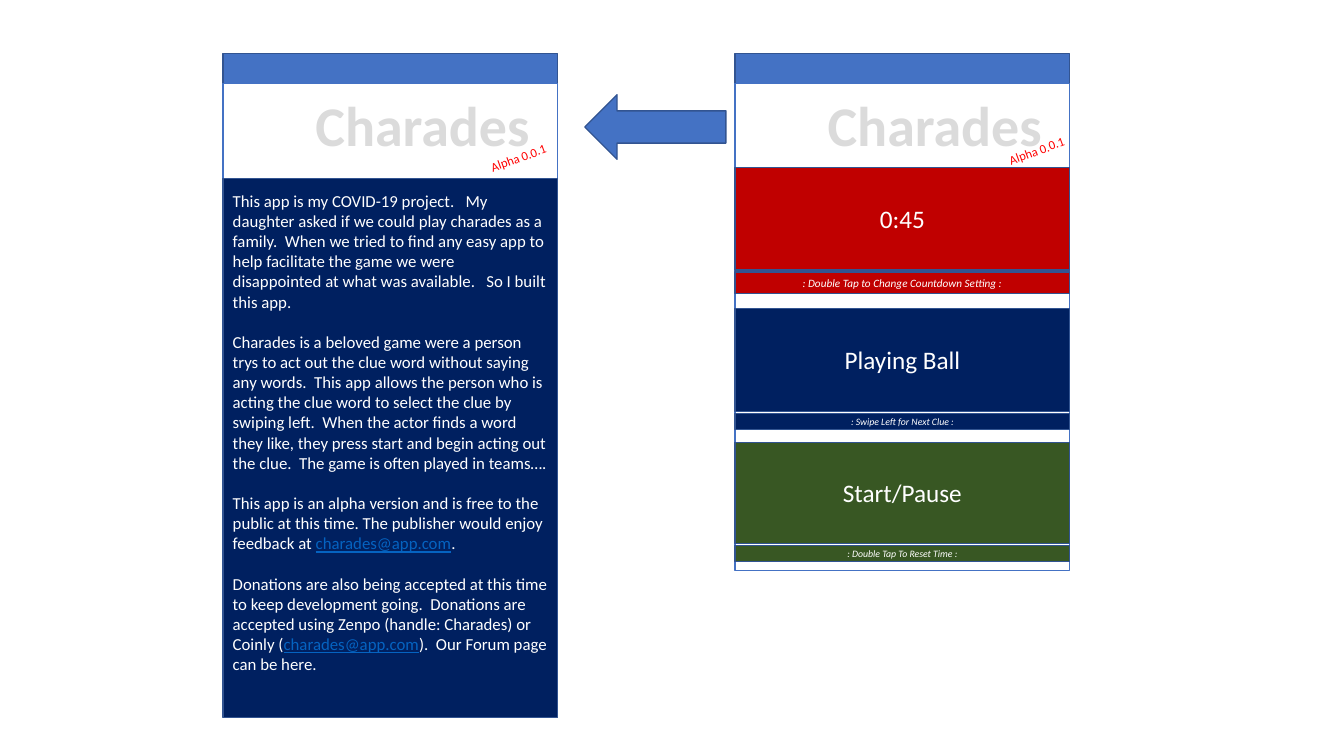
"""Build a slide with two screens of a charades app, joined by an arrow."""
from dataclasses import dataclass

from pptx import Presentation
from pptx.dml.color import RGBColor
from pptx.enum.shapes import MSO_SHAPE
from pptx.enum.text import MSO_ANCHOR, PP_ALIGN
from pptx.util import Inches, Pt

RECTANGLE, LEFT_ARROW = MSO_SHAPE.RECTANGLE, MSO_SHAPE.LEFT_ARROW
MIDDLE, TOP = MSO_ANCHOR.MIDDLE, MSO_ANCHOR.TOP
CENTER, LEFT = PP_ALIGN.CENTER, PP_ALIGN.LEFT


@dataclass(frozen=True)
class Theme:
    font: str = "Calibri"
    blue: str = "4472C4"
    edge: str = "325491"
    navy: str = "002060"
    red: str = "C00000"
    green: str = "385723"
    white: str = "FFFFFF"
    silver: str = "DBDBDB"
    alert: str = "FF0000"
    link: str = "0563C1"
    logo_size: float = 40
    button_size: float = 18
    body_size: float = 12
    version_size: float = 9
    hint_size: float = 8
    small_hint_size: float = 7


theme = Theme()


def add_block(area, fill, line=theme.edge, kind=RECTANGLE):
    block = slide.shapes.add_shape(kind, *map(Inches, area))
    block.shadow.inherit = False
    block.fill.solid()
    block.fill.fore_color.rgb = RGBColor.from_string(fill)
    block.line.color.rgb = RGBColor.from_string(line)
    block.line.width = Pt(1)
    return block


def write(para, pieces, size, align=CENTER, bold=False, italic=False):
    para.alignment = align
    for text, color in pieces:
        span = para.add_run()
        span.text = text
        font = span.font
        font.name, font.size, font.bold, font.italic = theme.font, Pt(size), bold, italic
        font.underline = color == theme.link
        font.color.rgb = RGBColor.from_string(color)


deck = Presentation()
deck.slide_width, deck.slide_height = Inches(13.33), Inches(7.5)
slide = deck.slides.add_slide(deck.slide_layouts.get_by_name("Blank"))

about_left, game_left, screen_width = 2.21, 7.29, 3.32
screen_top, bar_height, screen_height = 0.53, 0.3, 4.83
panel_top = screen_top + bar_height

add_block((5.8, 0.94, 1.4, 0.64), theme.blue, kind=LEFT_ARROW)
for left in (about_left, game_left):
    add_block((left, screen_top, screen_width, bar_height), theme.blue)
    add_block((left, panel_top, screen_width, screen_height), theme.white, theme.blue)

add_block((about_left, 1.77, screen_width, 5.35), theme.navy)

buttons = (
    ("0:45", 1.66, 1.02, theme.red,
     ": Double Tap to Change Countdown Setting :", 2.7, 0.21, theme.hint_size),
    ("Playing Ball", 3.06, 1.02, theme.navy,
     ": Swipe Left for Next Clue :", 4.1, 0.16, theme.small_hint_size),
    ("Start/Pause", 4.39, 1, theme.green,
     ": Double Tap To Reset Time :", 5.41, 0.16, theme.small_hint_size),
)
for label, top, height, color, hint, hint_top, hint_height, hint_size in buttons:
    for text, y, tall, size, italic in (
        (label, top, height, theme.button_size, False),
        (hint, hint_top, hint_height, hint_size, True),
    ):
        block = add_block((game_left, y, screen_width, tall), color)
        frame = block.text_frame
        frame.vertical_anchor = MIDDLE
        frame.margin_top = frame.margin_bottom = 0
        write(frame.paragraphs[0], [(text, theme.white)], size, italic=italic)

for left, version_left, version_top in ((about_left, 4.62, 1.44), (game_left, 9.76, 1.37)):
    for text, area, color, size, turn in (
        ("Charades", (left + 0.43, 0.85, 3.1, 0.77), theme.silver, theme.logo_size, 0),
        ("Alpha 0.0.1", (version_left, version_top, 1.04, 0.25),
         theme.alert, theme.version_size, 339.9),
    ):
        box = slide.shapes.add_textbox(*map(Inches, area))
        box.rotation = turn
        box.text_frame.word_wrap = True
        write(box.text_frame.paragraphs[0], [(text, color)], size, bold=turn == 0)

email = ("charades@app.com", theme.link)
story = (
    [("This app is my COVID-19 project.   My daughter asked if we could play charades "
      "as a family.  When we tried to find any easy app to help facilitate the game we "
      "were disappointed at what was available.   So I built this app.", theme.white)],
    [("Charades is a beloved game were a person trys to act out the clue word without "
      "saying any words.  This app allows the person who is acting the clue word to "
      "select the clue by swiping left.  When the actor finds a word they like, they "
      "press start and begin acting out the clue.  The game is often played in teams….",
      theme.white)],
    [("This app is an alpha version and is free to the public at this time. The "
      "publisher would enjoy feedback at ", theme.white), email, (".", theme.white)],
    [("Donations are also being accepted at this time to keep development going.  "
      "Donations are accepted using Zenpo (handle: Charades) or Coinly (", theme.white),
     email, (").  Our Forum page can be here.", theme.white)],
)
box = slide.shapes.add_textbox(*map(Inches, (about_left, 1.84, screen_width, 5.15)))
frame = box.text_frame
frame.word_wrap = True
frame.vertical_anchor = TOP
for index, pieces in enumerate(story):
    para = frame.add_paragraph() if index else frame.paragraphs[0]
    if index:
        para.space_before = Pt(theme.body_size * 1.2)
    write(para, pieces, theme.body_size, LEFT)

deck.save("out.pptx")
